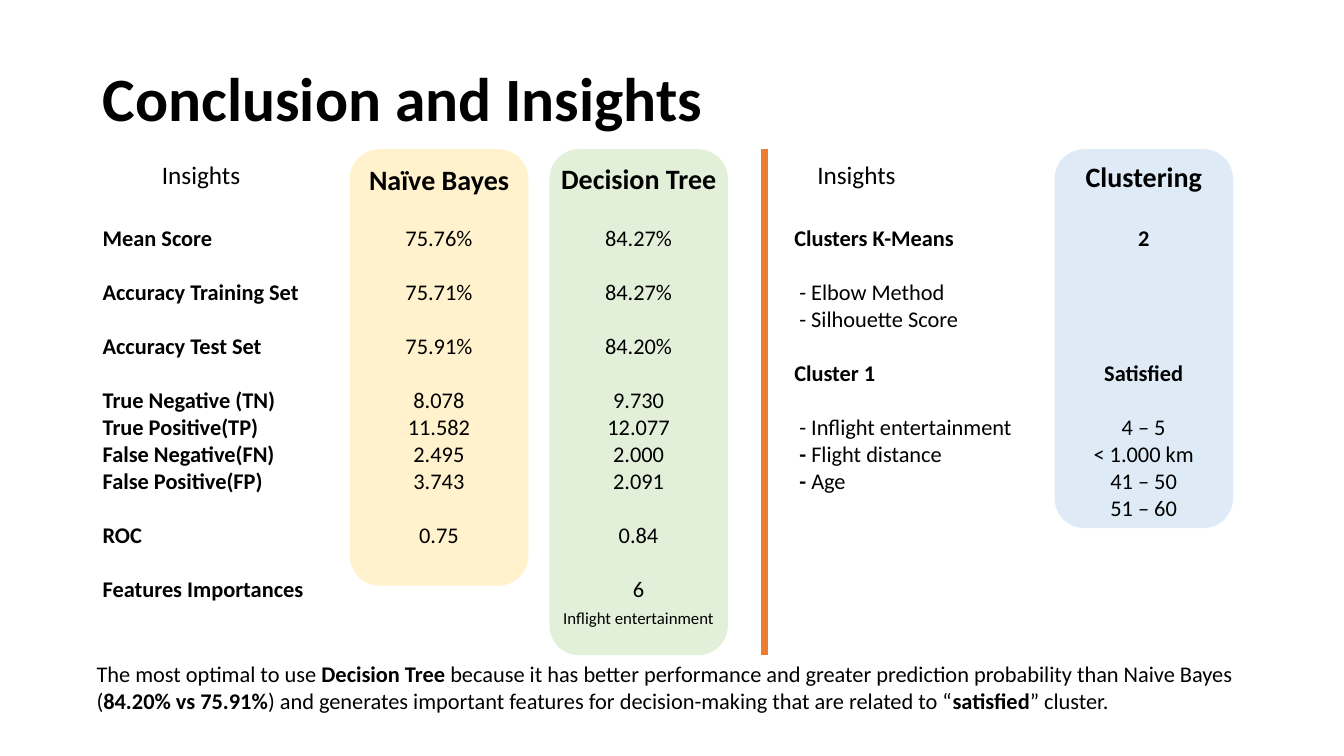
from lxml import etree
from pptx import Presentation, util as u
from pptx.dml.color import RGBColor
from pptx.enum import shapes, text
from pptx.oxml.ns import qn

BLACK = RGBColor(0x00, 0x00, 0x00)
ORANGE = RGBColor(0xED, 0x7D, 0x31)
YELLOW = RGBColor(0xFF, 0xF2, 0xCC)
GREEN = RGBColor(0xE2, 0xF0, 0xD9)
BLUE = RGBColor(0xDE, 0xEB, 0xF7)

# Grid, in inches
COL_W = 1.77
TOP = 1.48
BODY_TOP = 2.17
BAYES_X, TREE_X, CLUSTER_X = 3.47, 5.45, 10.46
METRICS_X, DIVIDER_X, CLUSTERS_X = 0.92, 7.58, 7.78
INSET = 0.1
LINE = 19.5  # height of a 16 pt line, in points

prs = Presentation()
prs.slide_width, prs.slide_height = u.Inches(13.33), u.Inches(7.5)
s = prs.slides.add_slide(prs.slide_layouts[5])


def add_run(p, content, size, bold=False):
    r = p.add_run()
    r.text = content
    r.font.name, r.font.size, r.font.bold = "Calibri", u.Pt(size), bold
    r.font.color.rgb = BLACK


def add_box(x, y, w, h):
    tf = s.shapes.add_textbox(*map(u.Inches, (x, y, w, h))).text_frame
    tf.word_wrap = True
    return tf


# Coloured column panels
for x, height, colour in [(TREE_X, 5.02, GREEN), (BAYES_X, 4.33, YELLOW),
                          (CLUSTER_X, 3.76, BLUE)]:
    sp = s.shapes.add_shape(shapes.MSO_SHAPE.ROUNDED_RECTANGLE,
                            *map(u.Inches, (x, TOP, COL_W, height)))
    sp.shadow.inherit = False
    sp.fill.solid()
    sp.fill.fore_color.rgb = colour
    sp.line.fill.background()

# Title
title = s.shapes.title
title.left, title.top, title.width, title.height = map(
    u.Inches, (METRICS_X, 0.28, 11.49, 1.11))
tf = title.text_frame
tf.auto_size = text.MSO_AUTO_SIZE.NONE
tf.vertical_anchor = text.MSO_ANCHOR.BOTTOM
p = tf.paragraphs[0]
p.alignment, p.line_spacing = text.PP_ALIGN.LEFT, 0.9
add_run(p, "Conclusion and Insights", 44, True)

# Column headings
for heading, x, y, size, bold in [
        ("Naïve Bayes", BAYES_X, 1.56, 20, True),
        ("Decision Tree", TREE_X, 1.55, 20, True),
        ("Clustering", CLUSTER_X, 1.53, 20, True),
        ("Insights", 1.11, 1.53, 18, False),
        ("Insights", 7.61, 1.53, 18, False)]:
    p = add_box(x, y, COL_W, 0.44).paragraphs[0]
    p.alignment = text.PP_ALIGN.CENTER
    add_run(p, heading, size, bold)

# Divider
divider = s.shapes.add_connector(
    shapes.MSO_CONNECTOR.STRAIGHT,
    *map(u.Inches, (DIVIDER_X, TOP, DIVIDER_X, 6.5)))
divider.line.color.rgb = ORANGE
divider.line.width = u.Pt(4.75)
etree.SubElement(divider._element.spPr, qn("a:effectLst"))

# Rows: space before in points, then runs of (text, size, bold)
metrics = [(gap, [(label, 16, True), (f"\t{bayes}\t{tree}", 16, False)])
           for gap, label, bayes, tree in [
               (0, "Mean Score", "75.76%", "84.27%"),
               (LINE, "Accuracy Training Set", "75.71%", "84.27%"),
               (LINE, "Accuracy Test Set", "75.91%", "84.20%"),
               (LINE, "True Negative (TN)", "8.078", "9.730"),
               (0, "True Positive(TP)", "11.582", "12.077"),
               (0, "False Negative(FN)", "2.495", "2.000"),
               (0, "False Positive(FP)", "3.743", "2.091"),
               (LINE, "ROC", "0.75", "0.84"),
               (LINE, "Features Importances", "", "6")]]
metrics.append((4, [("\t\tInflight entertainment", 12, False)]))

clusters = [
    (0, [("Clusters K-Means\t2", 16, True)]),
    (LINE, [(" - Elbow Method", 16, False)]),
    (0, [(" - Silhouette Score", 16, False)]),
    (LINE, [("Cluster 1\tSatisfied", 16, True)]),
    (LINE, [(" - Inflight entertainment\t4 – 5", 16, False)]),
    (0, [(" - ", 16, True), ("Flight distance\t< 1.000 km", 16, False)]),
    (0, [(" - ", 16, True), ("Age\t41 – 50", 16, False)]),
    (0, [("\t51 – 60", 16, False)])]

# Values sit on centred tab stops in the middle of each panel
for x, w, h, columns, rows in [
        (METRICS_X, 7, 4.41, (BAYES_X, TREE_X), metrics),
        (CLUSTERS_X, 4.36, 3.06, (CLUSTER_X,), clusters)]:
    tf = add_box(x, BODY_TOP, w, h)
    for i, (gap, runs) in enumerate(rows):
        p = tf.add_paragraph() if i else tf.paragraphs[0]
        p.space_before = u.Pt(gap)
        tabs = etree.SubElement(p._p.get_or_add_pPr(), qn("a:tabLst"))
        for column in columns:
            stop = u.Inches(column + COL_W / 2 - x - INSET)
            etree.SubElement(tabs, qn("a:tab"), pos=str(int(stop)), algn="ctr")
        for content, size, bold in runs:
            add_run(p, content, size, bold)

# Closing statement
p = add_box(0.86, 6.5, 12.14, 0.64).paragraphs[0]
for content, bold in [
        ("The most optimal to use ", False),
        ("Decision Tree ", True),
        ("because it has better performance and greater prediction "
         "probability than Naive Bayes (", False),
        ("84.20% vs 75.91%", True),
        (") and generates important features for decision-making that are "
         "related to “", False),
        ("satisfied", True),
        ("” cluster.", False)]:
    add_run(p, content, 16, bold)

prs.save("out.pptx")
